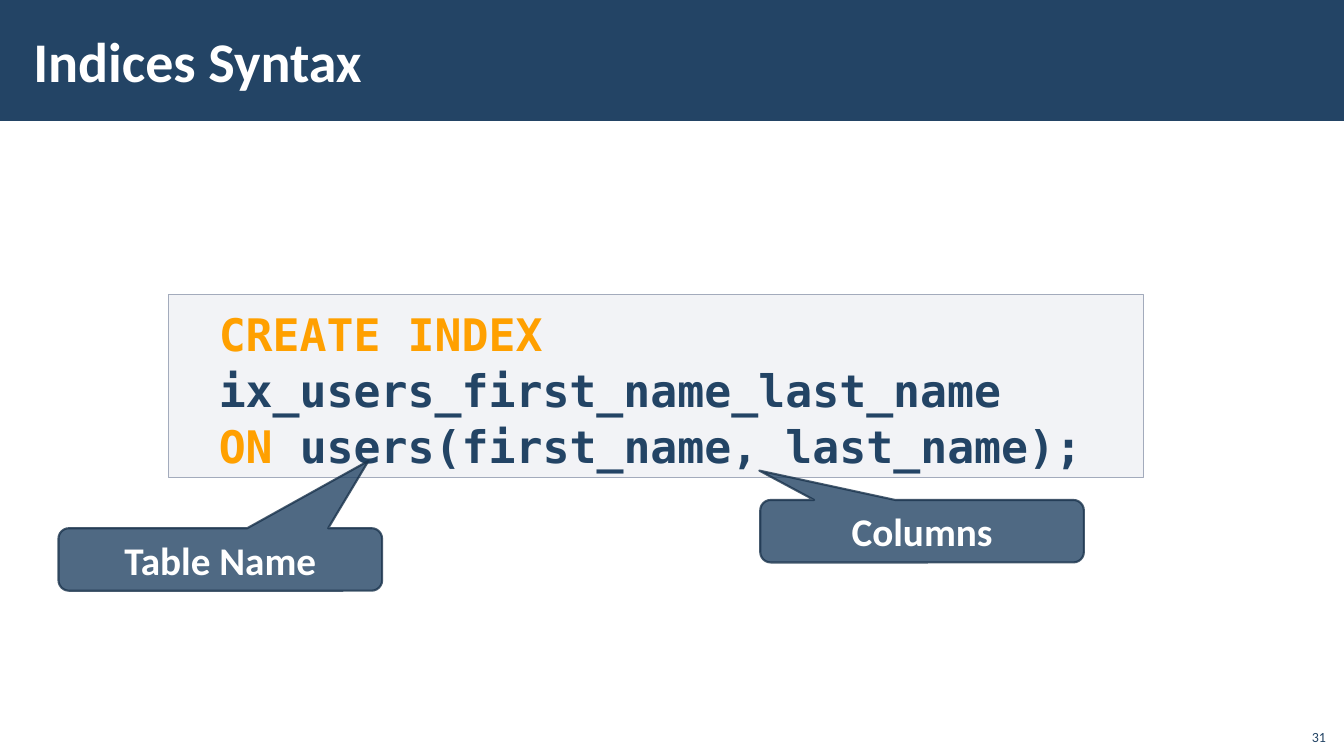
from typing import Any, NamedTuple

from lxml import etree
from pptx import Presentation
from pptx.dml.color import RGBColor
from pptx.enum.shapes import MSO_SHAPE
from pptx.enum.text import MSO_ANCHOR, MSO_AUTO_SIZE, PP_ALIGN
from pptx.oxml.ns import qn
from pptx.util import Inches, Pt

NAVY = RGBColor(0x23, 0x44, 0x65)
DARK_NAVY = RGBColor(0x1A, 0x33, 0x4C)
ORANGE = RGBColor(0xFF, 0xA0, 0x00)
PANEL_FILL = RGBColor(0xC2, 0xC7, 0xD2)
PANEL_LINE = RGBColor(0xA3, 0xAB, 0xBC)
WHITE = RGBColor(0xFF, 0xFF, 0xFF)
TEXT_FONT = "Calibri"
CODE_FONT = "DejaVu Sans Mono"

RECTANGLE = MSO_SHAPE.RECTANGLE
CALLOUT = MSO_SHAPE.ROUNDED_RECTANGULAR_CALLOUT
LEFT, CENTER, RIGHT = PP_ALIGN.LEFT, PP_ALIGN.CENTER, PP_ALIGN.RIGHT
TOP, MIDDLE, BOTTOM = MSO_ANCHOR.TOP, MSO_ANCHOR.MIDDLE, MSO_ANCHOR.BOTTOM
NO_AUTOFIT = MSO_AUTO_SIZE.NONE


class Box(NamedTuple):
    left: float
    top: float
    width: float
    height: float

    def lengths(self) -> list[int]:
        return [Inches(value) for value in self]


class Callout(NamedTuple):
    label: str
    left: float
    top: float
    tip_x: float
    tip_y: float


CALLOUT_WIDTH, CALLOUT_HEIGHT, CALLOUT_ROUNDING = 3.21, 0.62, 0.167
CALLOUTS = [
    Callout("Table Name", 0.58, 5.24, 0.458, -1.578),
    Callout("Columns", 7.54, 4.96, -0.503, -0.97),
]
CODE_LINES = [
    [("CREATE INDEX ", ORANGE), ("ix_users_first_name_last_name", NAVY)],
    [("ON", ORANGE), (" users(first_name, last_name);", NAVY)],
]


def set_attributes(target: Any, values: dict[str, Any]) -> None:
    for name, value in values.items():
        setattr(target, name, value)


def set_opacity(shape: Any, percent: int) -> None:
    """Apply one opacity to the fill colour of a shape."""
    color = shape.element.spPr.find(qn("a:solidFill"))[0]
    etree.SubElement(color, qn("a:alpha"), val=str(percent * 1000))


def set_line_opacity(shape: Any, percent: int) -> None:
    color = shape.element.spPr.find(qn("a:ln")).find(qn("a:solidFill"))[0]
    etree.SubElement(color, qn("a:alpha"), val=str(percent * 1000))


def add_panel(slide: Any, kind: Any, box: Box, fill: RGBColor,
              line: RGBColor | None = None, line_width: float = 1) -> Any:
    shape = slide.shapes.add_shape(kind, *box.lengths())
    shape.shadow.inherit = False
    shape.fill.solid()
    shape.fill.fore_color.rgb = fill
    if line is None:
        shape.line.fill.background()
    else:
        shape.line.color.rgb = line
        shape.line.width = Pt(line_width)
    return shape


def set_frame(shape: Any, anchor: Any, side: float, edge: float) -> None:
    set_attributes(shape.text_frame, {
        "word_wrap": True, "auto_size": NO_AUTOFIT, "vertical_anchor": anchor,
        "margin_left": Inches(side), "margin_right": Inches(side),
        "margin_top": Inches(edge), "margin_bottom": Inches(edge),
    })


def add_run(paragraph: Any, text: str, size: float, color: RGBColor,
            bold: bool = True, font: str = TEXT_FONT) -> None:
    run = paragraph.add_run()
    run.text = text
    set_attributes(run.font, {"size": Pt(size), "bold": bold, "name": font})
    run.font.color.rgb = color


def add_code(slide: Any) -> None:
    panel = add_panel(slide, RECTANGLE, Box(1.67, 2.92, 9.67, 1.82),
                      PANEL_FILL, PANEL_LINE)
    set_opacity(panel, 20)
    set_frame(panel, TOP, 0, 0.1)
    frame = panel.text_frame
    for index, line in enumerate(CODE_LINES):
        paragraph = frame.add_paragraph() if index else frame.paragraphs[0]
        set_attributes(paragraph, {"alignment": LEFT, "line_spacing": 1.04})
        properties = paragraph._p.get_or_add_pPr()
        properties.set("marL", str(Inches(0.5)))
        properties.set("indent", "0")
        for text, color in line:
            add_run(paragraph, text, 32, color, font=CODE_FONT)


def add_title(slide: Any) -> None:
    title = slide.shapes.title
    box = Box(0.21, 0.11, 10.63, 0.97)
    set_attributes(title, dict(zip(Box._fields, box.lengths())))
    set_frame(title, MIDDLE, 0.12, 0.04)
    paragraph = title.text_frame.paragraphs[0]
    paragraph.alignment = LEFT
    add_run(paragraph, "Indices Syntax", 40, WHITE)
    # Bring the title in front of the header band
    title.element.getparent().append(title.element)


def add_callout(slide: Any, callout: Callout) -> None:
    box = Box(callout.left, callout.top, CALLOUT_WIDTH, CALLOUT_HEIGHT)
    shape = add_panel(slide, CALLOUT, box, NAVY, DARK_NAVY, 1.5)
    adjustments = (callout.tip_x, callout.tip_y, CALLOUT_ROUNDING)
    for index, value in enumerate(adjustments):
        shape.adjustments[index] = value
    set_opacity(shape, 80)
    set_line_opacity(shape, 80)
    set_frame(shape, MIDDLE, 0.1, 0.05)
    paragraph = shape.text_frame.paragraphs[0]
    paragraph.alignment = CENTER
    add_run(paragraph, callout.label, 28, WHITE)


def add_slide_number(slide: Any) -> None:
    text_box = slide.shapes.add_textbox(*Box(12.85, 7.12, 0.4, 0.32).lengths())
    set_frame(text_box, BOTTOM, 0.1, 0.05)
    paragraph = text_box.text_frame.paragraphs[0]
    paragraph.alignment = RIGHT
    add_run(paragraph, "31", 10, NAVY, bold=False)


presentation = Presentation()
presentation.slide_width = Inches(13.33)
presentation.slide_height = Inches(7.5)
slide = presentation.slides.add_slide(presentation.slide_layouts[5])

# Header band, code and title
add_panel(slide, RECTANGLE, Box(0, 0, 13.33, 1.2), NAVY)
add_code(slide)
add_title(slide)

# Callouts and slide number
for callout in CALLOUTS:
    add_callout(slide, callout)
add_slide_number(slide)

presentation.save("out.pptx")
